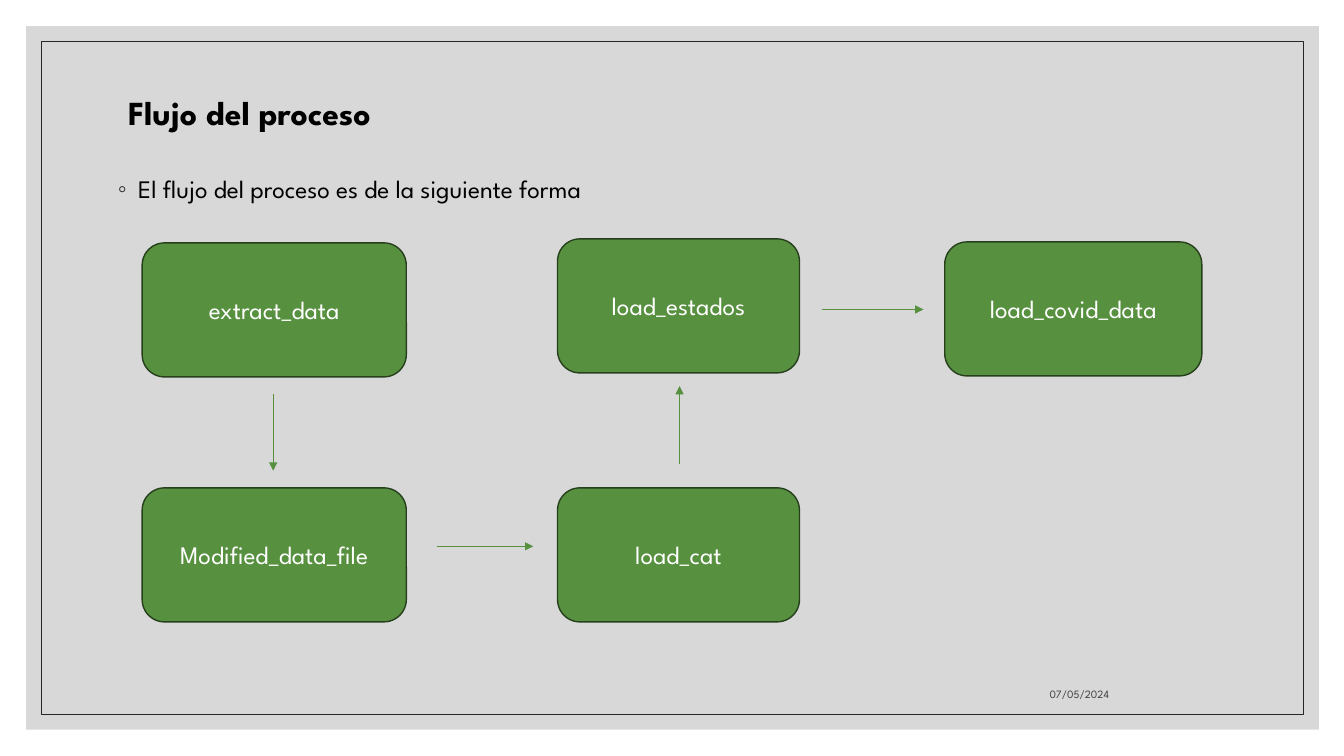
"""Build the process flow slide and save it as out.pptx."""
from dataclasses import dataclass

from lxml.etree import SubElement
from pptx import Presentation
from pptx.dml.color import RGBColor
from pptx.enum.shapes import MSO_CONNECTOR, MSO_SHAPE
from pptx.enum.text import MSO_ANCHOR as ANCHOR, MSO_AUTO_SIZE, PP_ALIGN as ALIGN
from pptx.oxml.ns import qn
from pptx.util import Inches, Pt


@dataclass(frozen=True)
class Theme:
    font: str = "League Spartan"
    panel: str = "BFBFBF"
    frame: str = "262626"
    green: str = "57903F"
    edge: str = "263F1C"
    dark: str = "000000"
    light: str = "FFFFFF"
    muted: str = "404040"
    title_size: float = 24
    text_size: float = 18
    date_size: float = 8
    thin: float = 0.5
    outline: float = 1


def rgb(value):
    return RGBColor.from_string(value)


def write(tf, text, font, size, color, bold=False, align=ALIGN.LEFT,
          anchor=ANCHOR.MIDDLE, spacing=1.0, before=0):
    tf.word_wrap = True
    tf.auto_size = MSO_AUTO_SIZE.NONE
    tf.vertical_anchor = anchor
    p = tf.paragraphs[0]
    p.alignment, p.line_spacing, p.space_before = align, spacing, Pt(before)
    r = p.add_run()
    r.text = text
    r.font.name, r.font.size, r.font.bold = font, Pt(size), bold
    r.font.color.rgb = rgb(color)
    return p


class FlowSlide:
    def __init__(self, prs, theme):
        self.theme = theme
        self.slide = prs.slides.add_slide(prs.slide_layouts[1])
        self.shapes = self.slide.shapes

    def shape(self, kind, box, fill=None, line=None, width=0, alpha=None):
        sp = self.shapes.add_shape(kind, *map(Inches, box))
        sp.shadow.inherit = False
        if fill:
            sp.fill.solid()
            sp.fill.fore_color.rgb = rgb(fill)
        else:
            sp.fill.background()
        if alpha:
            color = sp.fill._xPr.find(qn("a:solidFill"))[0]
            SubElement(color, qn("a:alpha"), val=str(alpha * 1000))
        if line:
            sp.line.color.rgb = rgb(line)
            sp.line.width = Pt(width)
        else:
            sp.line.fill.background()
        return sp

    def placeholder(self, idx, box):
        sp = self.slide.placeholders[idx]
        sp.left, sp.top, sp.width, sp.height = map(Inches, box)
        self.shapes._spTree.append(sp._element)
        return sp.text_frame

    def title(self, text, box):
        t = self.theme
        tf = self.placeholder(0, box)
        tf.margin_bottom = Inches(0.68)
        write(tf, text, t.font, t.title_size, t.dark, bold=True, spacing=0.9)

    def bullet(self, text, box):
        t = self.theme
        p = write(self.placeholder(1, box), text, t.font, t.text_size, t.dark,
                  anchor=ANCHOR.TOP, spacing=1.1, before=9)
        pPr = p._p.get_or_add_pPr()
        pPr.set("marL", str(Inches(0.2)))
        pPr.set("indent", str(Inches(-0.2)))
        SubElement(SubElement(pPr, qn("a:buClr")), qn("a:srgbClr"), val=t.frame)
        SubElement(pPr, qn("a:buChar"), char="◦")

    def date(self, text, box):
        t = self.theme
        sp = self.shapes.add_textbox(*map(Inches, box))
        write(sp.text_frame, text, t.font, t.date_size, t.muted,
              align=ALIGN.RIGHT, anchor=ANCHOR.BOTTOM)

    def step(self, text, box):
        t = self.theme
        sp = self.shape(MSO_SHAPE.ROUNDED_RECTANGLE, box, t.green, t.edge, t.outline)
        write(sp.text_frame, text, t.font, t.text_size, t.light, align=ALIGN.CENTER)

    def arrow(self, start, end):
        cxn = self.shapes.add_connector(MSO_CONNECTOR.STRAIGHT, *map(Inches, start + end))
        cxn.line.color.rgb = rgb(self.theme.green)
        cxn.line.width = Pt(self.theme.thin)
        SubElement(cxn.line._get_or_add_ln(), qn("a:tailEnd"), type="triangle")
        SubElement(cxn._element.spPr, qn("a:effectLst"))


def main():
    prs = Presentation()
    prs.slide_width, prs.slide_height = Inches(13.33), Inches(7.5)
    theme = Theme()
    s = FlowSlide(prs, theme)

    s.shape(MSO_SHAPE.RECTANGLE, (0.26, 0.26, 12.82, 6.98), fill=theme.panel, alpha=60)
    s.shape(MSO_SHAPE.RECTANGLE, (0.41, 0.41, 12.52, 6.68), line=theme.frame, width=theme.thin)
    s.title("Flujo del proceso", (1.17, 0.7, 11, 1.5))
    s.bullet("El flujo del proceso es de la siguiente forma", (1.07, 1.64, 11, 4.79))
    s.date("07/05/2024", (7.94, 6.6, 3.16, 0.4))

    step_height, lower_top = 1.33, 4.84
    columns = [(1.41, 2.62), (5.53, 2.4), (9.37, 2.55)]
    steps = [
        ("extract_data", 0, 2.41),
        ("Modified_data_file", 0, lower_top),
        ("load_cat", 1, lower_top),
        ("load_estados", 1, 2.37),
        ("load_covid_data", 2, 2.4),
    ]
    for name, column, top in steps:
        left, width = columns[column]
        s.step(name, (left, top, width, step_height))

    arrows = [
        ((2.71, 3.91), (2.71, 4.67)),
        ((4.33, 5.42), (5.29, 5.42)),
        ((6.74, 4.6), (6.74, 3.83)),
        ((8.15, 3.07), (9.16, 3.07)),
    ]
    for start, end in arrows:
        s.arrow(start, end)

    prs.save("out.pptx")


if __name__ == "__main__":
    main()
